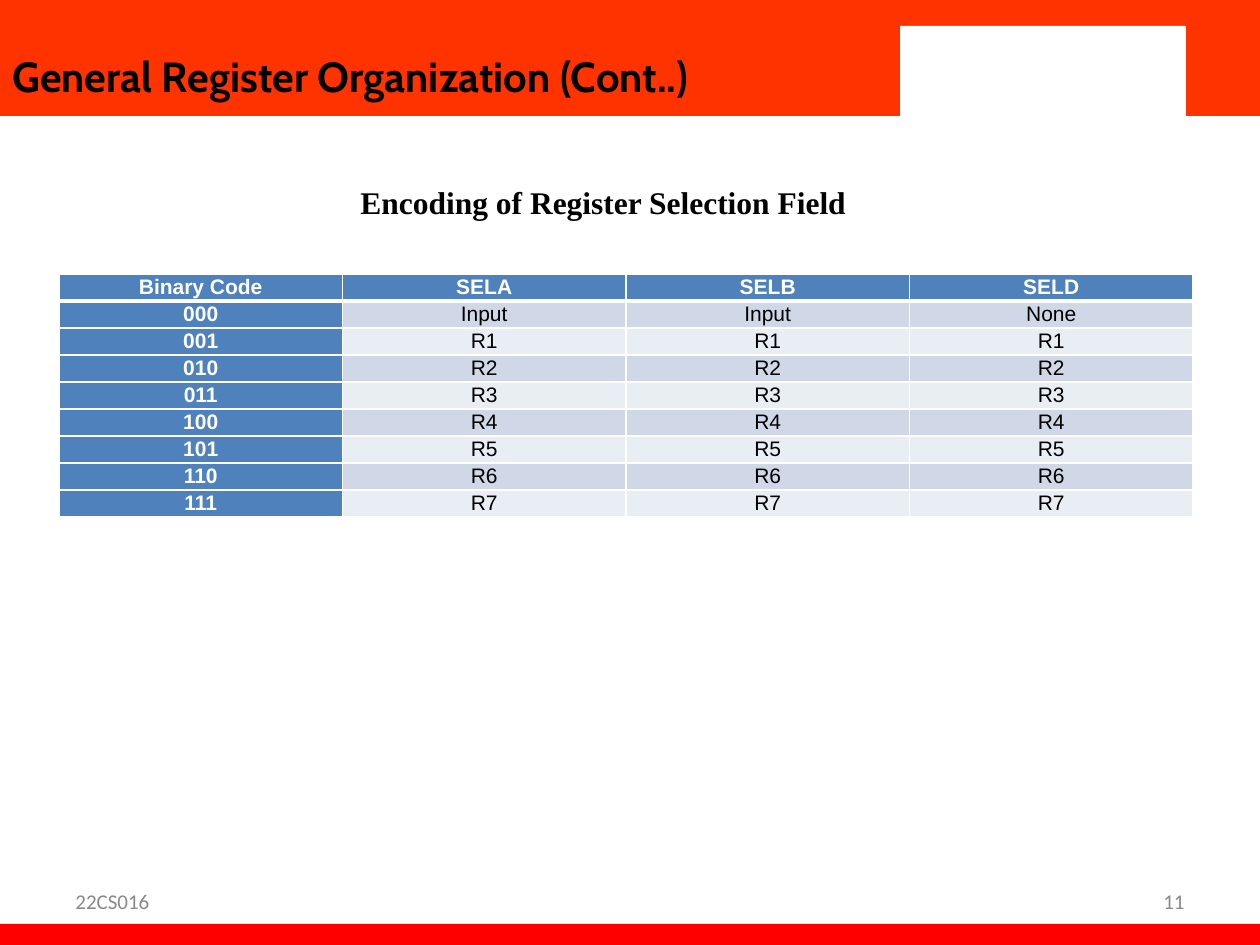
from pptx import Presentation
from pptx.dml.color import RGBColor
from pptx.enum.shapes import MSO_SHAPE
from pptx.enum.text import MSO_ANCHOR, PP_ALIGN
from pptx.oxml.ns import qn
from pptx.util import Emu, Pt
from lxml.etree import SubElement

EMU_PER_PX = 914400 / 126

COLORS = {
    "header": "FF3300",
    "footer": "FF0000",
    "white": "FFFFFF",
    "black": "000000",
    "grey": "898989",
    "accent": "4F81BD",
    "band": "D0D8E8",
    "light": "E9EDF4",
}

HEADINGS = ["Binary Code", "SELA", "SELB", "SELD"]
ROWS = [HEADINGS, ["000", "Input", "Input", "None"]] + [
    [f"{number:03b}"] + [f"R{number}"] * 3 for number in range(1, 8)
]


def px(length):
    return Emu(round(length * EMU_PER_PX))


def color(name):
    return RGBColor.from_string(COLORS[name])


def add_bar(page, box, fill):
    bar = page.shapes.add_shape(MSO_SHAPE.RECTANGLE, *map(px, box))
    bar.shadow.inherit = False
    bar.fill.solid()
    bar.fill.fore_color.rgb = color(fill)
    bar.line.fill.background()


def write(para, text, font, size, ink, bold=False, align=PP_ALIGN.LEFT, spacing=None, after=None):
    para.alignment = align
    para.line_spacing = spacing
    para.space_after = after
    span = para.add_run()
    span.text = text
    span.font.name = font
    span.font.size = Pt(size)
    span.font.bold = bold
    span.font.color.rgb = color(ink)


def add_text(page, box, text, font, size, ink, anchor=MSO_ANCHOR.TOP, **style):
    frame = page.shapes.add_textbox(*map(px, box)).text_frame
    frame.word_wrap = True
    frame.vertical_anchor = anchor
    write(frame.paragraphs[0], text, font, size, ink, **style)


def add_header(page, box):
    left, top, width, height = box
    add_bar(page, box, "header")
    add_bar(page, (left + 847, top, width - 847, height), "header")
    add_bar(page, (left + 900, top + 26, 286, 95), "white")
    add_text(page, (left, top + 19, 890, 78), "General Register Organization (Cont..)",
             "Cabin", 24, "black", bold=True, spacing=1.5)


def add_footer(page, box):
    left, top, width, height = box
    add_bar(page, (left, top + 48, width, height - 48), "footer")
    labels = [(left + 63, "22CS016", PP_ALIGN.LEFT), (left + width - 357, "11", PP_ALIGN.RIGHT)]
    for label_left, text, align in labels:
        add_text(page, (label_left, top, 294, 50), text, "Calibri", 12, "grey",
                 anchor=MSO_ANCHOR.MIDDLE, align=align)


def add_borders(cell, bottom):
    properties = cell._tc.get_or_add_tcPr()
    for tag, width in (("a:lnL", 1), ("a:lnR", 1), ("a:lnT", 1), ("a:lnB", bottom)):
        line = SubElement(properties, qn(tag), w=str(Pt(width)))
        fill = SubElement(line, qn("a:solidFill"))
        SubElement(fill, qn("a:srgbClr"), val=COLORS["white"])


def style_cell(cell, text, row, column):
    heading = row == 0 or column == 0
    cell.margin_left = cell.margin_right = px(9)
    cell.margin_top = cell.margin_bottom = 0
    add_borders(cell, 3 if row == 0 else 1)
    cell.fill.solid()
    cell.fill.fore_color.rgb = color("accent" if heading else "band" if row % 2 else "light")
    write(cell.text_frame.paragraphs[0], text, "Arial", 12, "white" if heading else "black",
          bold=heading, align=PP_ALIGN.CENTER, spacing=1.07, after=Pt(8))


def add_register_table(page, box):
    left, top, width, height = box
    add_text(page, (left + 289, top, 672, 52), "Encoding of Register Selection Field",
             "Times New Roman", 18, "black", bold=True, spacing=1.07, after=Pt(8))
    table_box = (left, top + 100, width, height - 100)
    table = page.shapes.add_table(len(ROWS), len(HEADINGS), *map(px, table_box)).table
    for row, values in enumerate(ROWS):
        for column, text in enumerate(values):
            style_cell(table.cell(row, column), text, row, column)


def main():
    deck = Presentation()
    deck.slide_width, deck.slide_height = px(1260), px(945)
    page = deck.slides.add_slide(deck.slide_layouts[6])
    add_header(page, (0, 0, 1260, 116))
    add_footer(page, (0, 876, 1260, 76))
    add_register_table(page, (59, 174, 1134, 331))
    deck.save("out.pptx")


if __name__ == "__main__":
    main()
